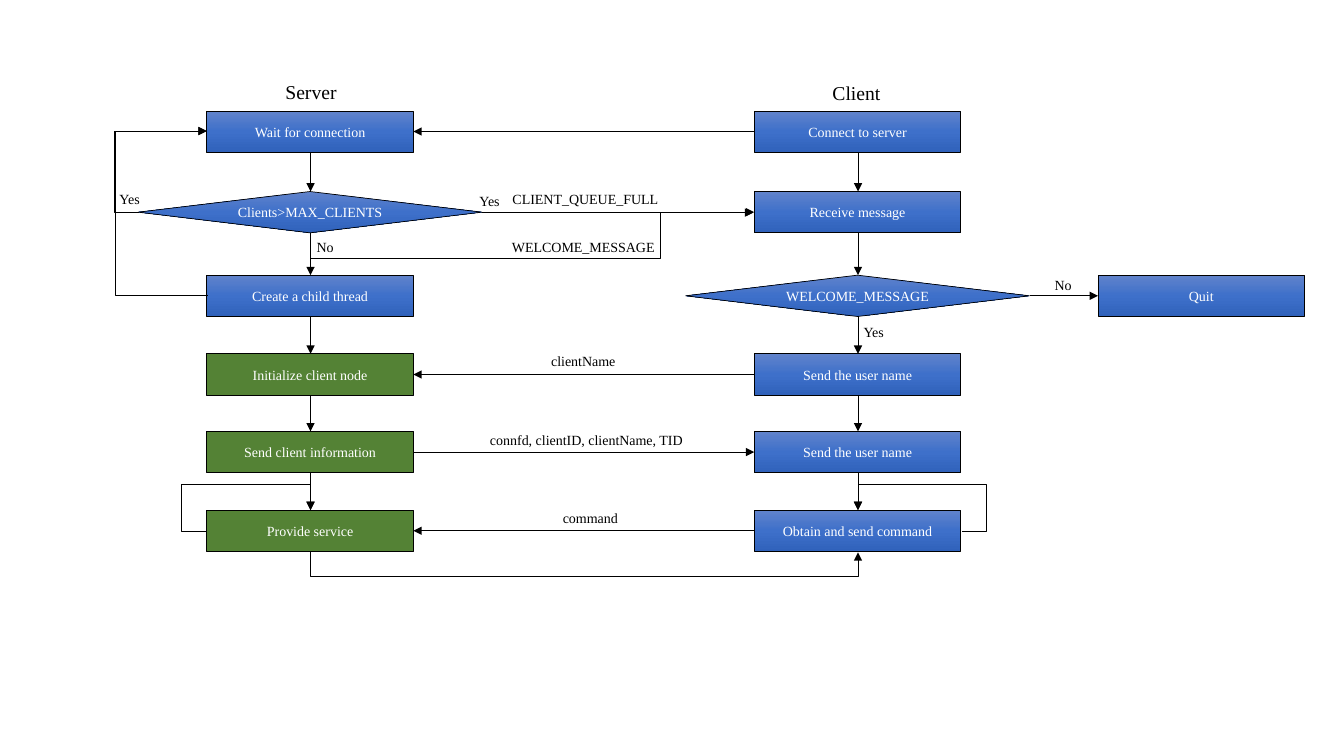
from copy import deepcopy

from pptx import Presentation
from pptx.dml.color import RGBColor
from pptx.enum.shapes import MSO_CONNECTOR as CONN, MSO_SHAPE as SHAPE
from pptx.enum.text import MSO_ANCHOR as ANCHOR, PP_ALIGN as ALIGN
from pptx.oxml import parse_xml
from pptx.oxml.ns import nsdecls, qn
from pptx.util import Inches, Pt

BLACK, WHITE, GREEN = "000000", "FFFFFF", "548235"
BLUE = [(0, "6183CB"), (0.5, "3E70CA"), (1, "3062BB")]
SERVER, CLIENT, QUIT = 2.05, 7.48, 10.89
BOX_W, BOX_H, DIAMOND_W = 2.05, 0.41, 3.41
SERVER_MID, CLIENT_MID = 3.08, 8.51
ROWS = [1.1, 1.9, 2.73, 3.51, 4.28, 5.06]

SERVER_STEPS = [
    ("Wait for connection", BLUE),
    ("Clients>MAX_CLIENTS", None),
    ("Create a child thread", BLUE),
    ("Initialize client node", GREEN),
    ("Send client information", GREEN),
    ("Provide service", GREEN),
]
CLIENT_STEPS = [
    ("Connect to server", BLUE),
    ("Receive message", BLUE),
    ("WELCOME_MESSAGE", None),
    ("Send the user name", BLUE),
    ("Send the user name", BLUE),
    ("Obtain and send command", BLUE),
]
LABELS = [
    ("Server", 2.66, 0.73, 0.85, 14),
    ("Client", 8.07, 0.74, 0.85, 14),
    ("Yes", 4.43, 1.82, 0.85, 10),
    ("CLIENT_QUEUE_FULL", 4.77, 1.8, 2.07, 10),
    ("No", 2.8, 2.27, 0.85, 10),
    ("WELCOME_MESSAGE", 4.75, 2.27, 2.07, 10),
    ("No", 10.12, 2.65, 0.85, 10),
    ("Yes", 0.86, 1.8, 0.85, 10),
    ("Yes", 8.24, 3.12, 0.85, 10),
    ("clientName", 4.75, 3.41, 2.07, 10),
    ("connfd, clientID, clientName, TID", 4.71, 4.19, 2.21, 10),
    ("command", 4.75, 4.96, 2.21, 10),
]
# Each elbow: frame, rotation, flips, adjustments.
ELBOWS = [
    ((5.17, 0.02, 0.21, 4.39), 90, "HV", (-1.17, 0.79)),
    ((1.38, 1.3, 0.67, 0.81), 180, "H", (-0.37,)),
    ((2.05, 1.3, 0.01, 1.63), 180, "", (93,)),
    ((5.79, 2.76, 0.01, 5.43), 270, "H", (25,)),
    ((8.51, 5.06, 1.03, 0.21), 0, "HV", (-0.24, 2.21)),
    ((2.05, 5.06, 1.03, 0.21), 180, "H", (-0.24, 2.21)),
]


def rgb(value):
    return RGBColor.from_string(value)


def set_text(sp, text, size, color):
    tf = sp.text_frame
    for name, value in {"word_wrap": True, "vertical_anchor": ANCHOR.MIDDLE}.items():
        setattr(tf, name, value)
    p = tf.paragraphs[0]
    p.alignment = ALIGN.CENTER
    r = p.add_run()
    r.text = text
    for name, value in {"name": "Times New Roman", "size": Pt(size)}.items():
        setattr(r.font, name, value)
    r.font.color.rgb = rgb(color)


def set_gradient(sp, stops):
    sp.fill.gradient()
    sp.fill.gradient_angle = 270
    gs_list = sp._element.spPr.find(".//" + qn("a:gsLst"))
    gs_list.insert(1, deepcopy(gs_list[0]))
    for stop, (position, color) in zip(sp.fill.gradient_stops, stops):
        stop.position = position
        stop.color.rgb = rgb(color)


def set_line(line):
    line.color.rgb = rgb(BLACK)
    line.width = Pt(0.5)


def add_step(slide, text, kind, left, top, width, fill):
    sp = slide.shapes.add_shape(kind, *map(Inches, (left, top, width, BOX_H)))
    sp.shadow.inherit = False
    if fill == GREEN:
        sp.fill.solid()
        sp.fill.fore_color.rgb = rgb(GREEN)
    else:
        set_gradient(sp, fill)
    set_line(sp.line)
    set_text(sp, text, 10, WHITE)


def add_column(slide, steps, left):
    for (text, fill), top in zip(steps, ROWS):
        if fill is None:
            x = left + (BOX_W - DIAMOND_W) / 2
            add_step(slide, text, SHAPE.DIAMOND, x, top, DIAMOND_W, BLUE)
        else:
            add_step(slide, text, SHAPE.RECTANGLE, left, top, BOX_W, fill)


def add_label(slide, text, left, top, width, size):
    sp = slide.shapes.add_textbox(*map(Inches, (left, top, width, 0.35)))
    set_text(sp, text, size, BLACK)


def add_arrow(slide, x1, y1, x2, y2, kind=CONN.STRAIGHT):
    c = slide.shapes.add_connector(kind, *map(Inches, (x1, y1, x2, y2)))
    set_line(c.line)
    props = c._element.spPr
    tail = parse_xml(f'<a:tailEnd {nsdecls("a")} type="triangle"/>')
    props.find(qn("a:ln")).append(tail)
    props.append(parse_xml(f'<a:effectLst {nsdecls("a")}/>'))
    return c


def add_elbow(slide, frame, rotation, flips, adjusts):
    x, y, w, h = frame
    props = add_arrow(slide, x, y, x + w, y + h, CONN.ELBOW)._element.spPr
    xfrm = props.find(qn("a:xfrm"))
    xfrm.set("rot", str(rotation * 60000))
    for flip in flips:
        xfrm.set("flip" + flip, "1")
    geom = props.find(qn("a:prstGeom"))
    geom.set("prst", f"bentConnector{len(adjusts) + 2}")
    guides = "".join(
        f'<a:gd name="adj{i}" fmla="val {round(value * 100000)}"/>'
        for i, value in enumerate(adjusts, 1)
    )
    for old in list(geom):
        geom.remove(old)
    geom.append(parse_xml(f'<a:avLst {nsdecls("a")}>{guides}</a:avLst>'))


def main():
    """Build the server and client flowchart."""
    prs = Presentation()
    prs.slide_width, prs.slide_height = Inches(13.33), Inches(7.5)
    slide = prs.slides.add_slide(prs.slide_layouts[6])

    for mid in (SERVER_MID, CLIENT_MID):
        for top, following in zip(ROWS, ROWS[1:]):
            add_arrow(slide, mid, top + BOX_H, mid, following)
    server_edge = SERVER + BOX_W
    for row, to_client in ((0, False), (1, True), (3, False), (4, True), (5, False)):
        y = ROWS[row] + BOX_H / 2
        ends = (server_edge, CLIENT) if to_client else (CLIENT, server_edge)
        add_arrow(slide, ends[0], y, ends[1], y)
    quit_y = ROWS[2] + BOX_H / 2
    add_arrow(slide, CLIENT_MID + DIAMOND_W / 2, quit_y, QUIT, quit_y)

    add_column(slide, SERVER_STEPS, SERVER)
    add_column(slide, CLIENT_STEPS, CLIENT)
    add_step(slide, "Quit", SHAPE.RECTANGLE, QUIT, ROWS[2], BOX_W, BLUE)
    for elbow in ELBOWS:
        add_elbow(slide, *elbow)
    for label in LABELS:
        add_label(slide, *label)
    prs.save("out.pptx")


if __name__ == "__main__":
    main()
